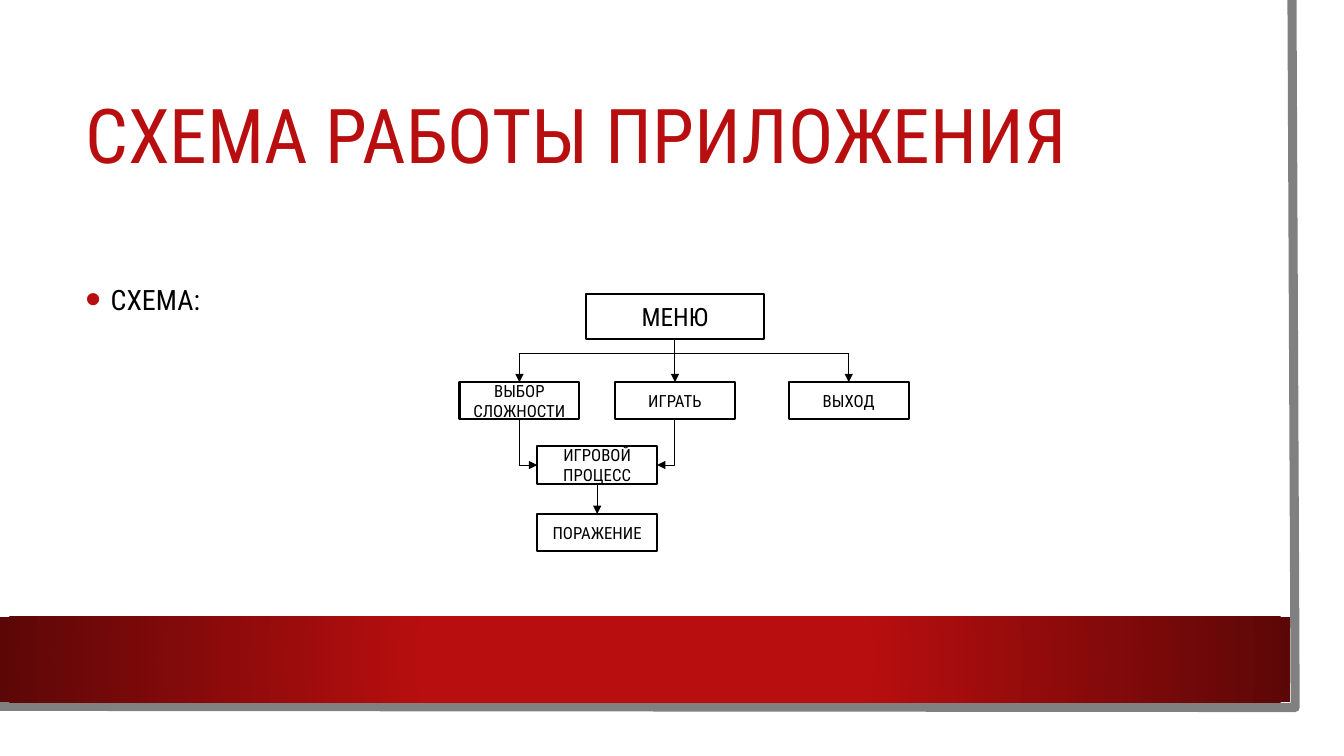
from pptx import Presentation
from pptx.dml.color import RGBColor
from pptx.enum.dml import MSO_LINE
from pptx.enum.shapes import MSO_CONNECTOR, MSO_SHAPE
from pptx.enum.text import MSO_ANCHOR, PP_ALIGN
from pptx.oxml import parse_xml
from pptx.oxml.ns import nsdecls, qn
from pptx.util import Cm, Pt
from lxml.etree import SubElement

RED = RGBColor(0xB8, 0x0E, 0x0F)
DARK = RGBColor(0x5C, 0x07, 0x07)
GREY = RGBColor(0x80, 0x80, 0x80)
BLACK = RGBColor(0, 0, 0)
WHITE = RGBColor(255, 255, 255)
FONT = "Roboto Condensed"


class Scheme:
    def __init__(self, slide):
        self.shapes = slide.shapes

    def style(self, frame, text, size, color):
        frame.word_wrap = True
        frame.vertical_anchor = MSO_ANCHOR.MIDDLE
        frame.text = text
        para = frame.paragraphs[0]
        font = para.runs[0].font
        font.name, font.size, font.color.rgb = FONT, Pt(size), color
        return para

    def panel(self, left, top, width, height):
        shape = self.shapes.add_shape(
            MSO_SHAPE.RECTANGLE, Cm(left), Cm(top), Cm(width), Cm(height))
        shape.shadow.inherit = False
        shape.fill.solid()
        shape.fill.fore_color.rgb = WHITE
        shape.line.fill.background()
        return shape

    def band(self, left, top, width, height):
        fill = self.panel(left, top, width, height).fill
        fill.gradient()
        for stop, place, color in zip(fill.gradient_stops, (0.34, 1), (RED, DARK)):
            stop.position = place
            stop.color.rgb = color
        lin = fill._xPr.find(qn("a:gradFill")).find(qn("a:lin"))
        lin.getparent().replace(lin, parse_xml(
            f'<a:path {nsdecls("a")} path="circle">'
            '<a:fillToRect l="50000" t="50000" r="50000" b="50000"/></a:path>'))

    def edge(self, start, *points):
        draw = self.shapes.build_freeform(Cm(start[0]), Cm(start[1]))
        draw.add_line_segments([(Cm(x), Cm(y)) for x, y in points], close=False)
        shape = draw.convert_to_shape()
        shape.shadow.inherit = False
        shape.fill.background()
        shape.line.color.rgb = GREY
        shape.line.width = Pt(6.5)

    def text(self, left, top, width, height, text, size, color):
        box = self.shapes.add_textbox(Cm(left), Cm(top), Cm(width), Cm(height))
        return box.text_frame, self.style(box.text_frame, text, size, color)

    def title(self, text):
        para = self.text(1.9, 1.9, 28.88, 3.2, text, 54, RED)[1]
        para.line_spacing = 0.9

    def bullet(self, text):
        frame, para = self.text(1.9, 5.74, 28.88, 9.2, text, 20, BLACK)
        frame.vertical_anchor = MSO_ANCHOR.TOP
        frame.margin_top = Cm(1.2)
        para.line_spacing = 1.2
        para.space_before = Pt(10)
        props = para._p.get_or_add_pPr()
        props.set("marL", str(Cm(0.64)))
        props.set("indent", str(-Cm(0.64)))
        color = SubElement(props, qn("a:buClr"))
        SubElement(color, qn("a:srgbClr"), val=str(RED))
        SubElement(props, qn("a:buSzPct"), val="160000")
        SubElement(props, qn("a:buFont"), typeface="Arial")
        SubElement(props, qn("a:buChar"), char="•")

    def node(self, text, mid, top, width=3.02, height=0.94, size=12):
        shape = self.panel(mid - width / 2, top, width, height)
        shape.line.color.rgb = BLACK
        shape.line.width = Pt(1.5)
        para = self.style(shape.text_frame, text, size, BLACK)
        para.alignment = PP_ALIGN.CENTER

    def link(self, start, end, tip=None, bent=False):
        kind = MSO_CONNECTOR.ELBOW if bent else MSO_CONNECTOR.STRAIGHT
        line = self.shapes.add_connector(
            kind, *(Cm(n) for n in (*start, *end)))
        line.line.color.rgb = BLACK
        line.line.width = Pt(0.75)
        line.line.dash_style = MSO_LINE.SOLID
        props = line._element.spPr
        if bent:
            props.find(qn("a:prstGeom")).set("prst", "bentConnector2")
        if tip:
            SubElement(props.find(qn("a:ln")), qn(f"a:{tip}End"), type="triangle")
        SubElement(props, qn("a:effectLst"))


def main():
    deck = Presentation()
    deck.slide_width, deck.slide_height = Cm(33.87), Cm(19.05)
    scheme = Scheme(deck.slides.add_slide(deck.slide_layouts[6]))

    scheme.panel(0, 0, 33.27, 18.47)
    scheme.edge((32.56, 0), (32.64, 17.83), (-0.08, 17.8))
    scheme.band(0, 15.54, 32.51, 2.16)
    scheme.title("СХЕМА РАБОТЫ ПРИЛОЖЕНИЯ")
    scheme.bullet("СХЕМА:")

    level, play, leave = 13.09, 17.01, 21.39
    game = (level + play) / 2
    half, tall = 1.51, 0.94
    menu, bus, row, turn, loss = 8.54, 8.92, 9.63, 11.25, 12.95

    scheme.node("МЕНЮ", play, 7.42, 4.47, 1.12, 18)
    for text, mid in (("ВЫБОР СЛОЖНОСТИ", level), ("ИГРАТЬ", play), ("ВЫХОД", leave)):
        scheme.node(text, mid, row)
    scheme.node("ИГРОВОЙ ПРОЦЕСС", game, turn)
    scheme.node("ПОРАЖЕНИЕ", game, loss)

    for mid in (level, leave):
        scheme.link((mid, bus), (play, menu), bent=True)
        scheme.link((mid, bus), (mid, row), "tail")
    scheme.link((play, menu), (play, row), "tail")
    for mid, side in ((level, game - half), (play, game + half)):
        scheme.link((side, turn + tall / 2), (mid, row + tall), "head", bent=True)
    scheme.link((game, turn + tall), (game, loss), "tail")

    deck.save("out.pptx")


if __name__ == "__main__":
    main()
